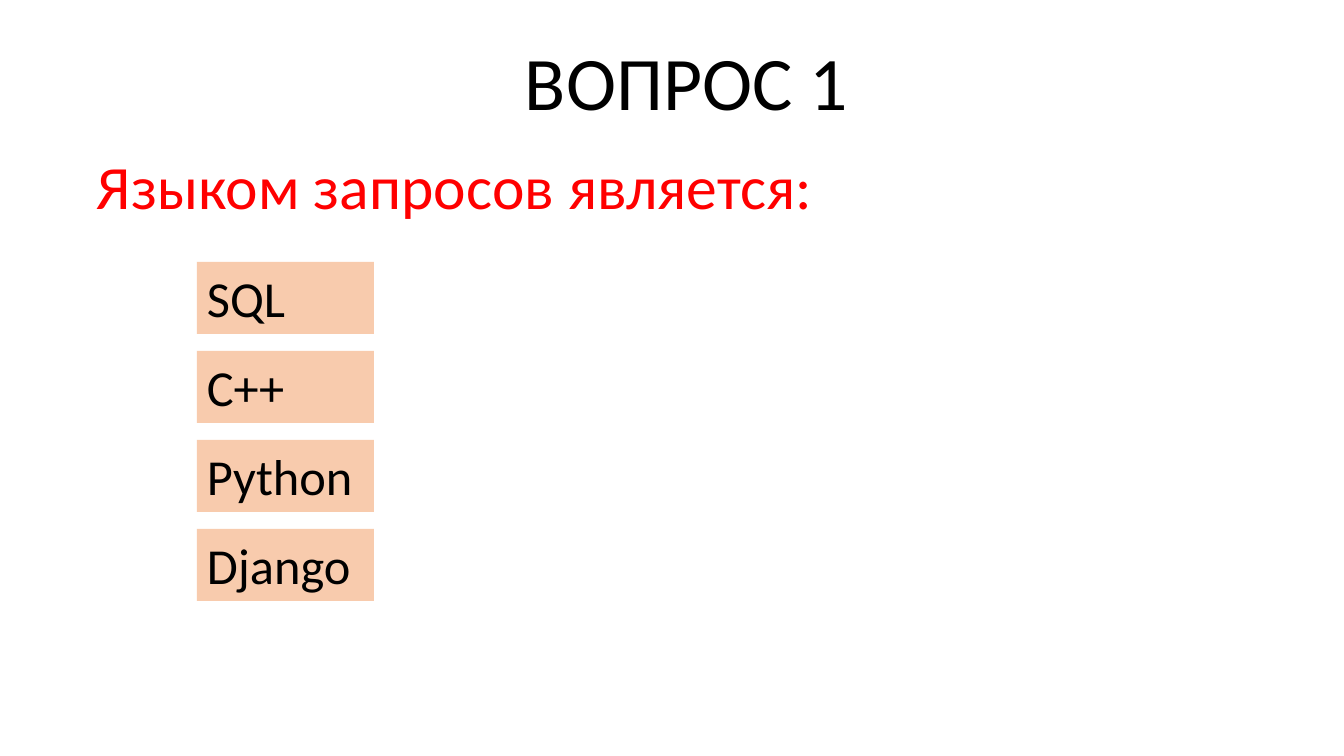
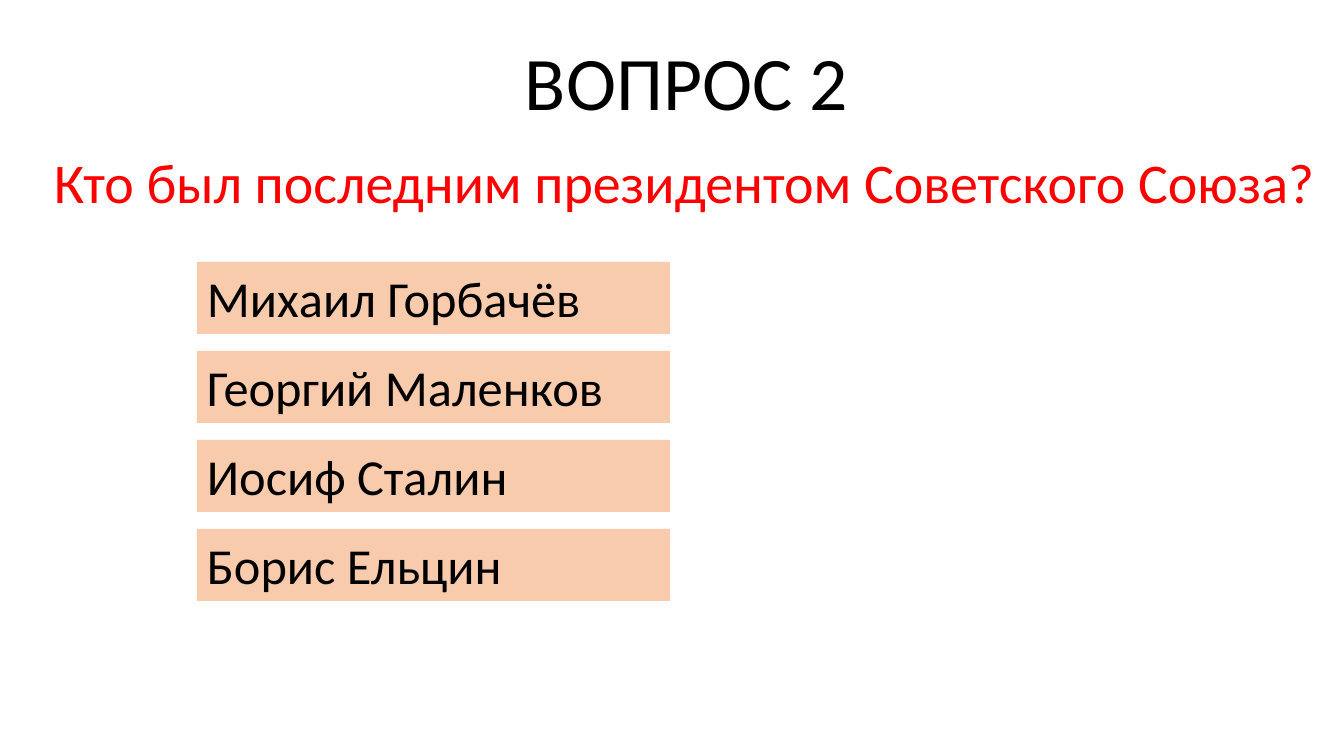
import pptx
import pptx.dml.color
import pptx.enum.shapes
import pptx.enum.text
import pptx.util

EMU_PER_PIXEL = 914400 / 100.8
FONT = "Calibri"
BLACK, RED, PEACH = "000000", "FF0000", "F8CBAD"
TITLE_BOX = (513, 25, 347, 107)
ANSWER_LEFT, ANSWER_TOP = 197, 262
ANSWER_HEIGHT, ANSWER_STEP = 72, 89
ALIGN = pptx.enum.text.PP_ALIGN
ANCHOR = pptx.enum.text.MSO_ANCHOR

QUESTIONS = [
    {
        "title": "ВОПРОС 1",
        "question": "Языком запросов является:",
        "question_box": (87, 143, 740, 85),
        "question_size": 44,
        "answers": ["SQL", "C++", "Python", "Django"],
        "answer_width": 177,
    },
    {
        "title": "ВОПРОС 2",
        "question": "Кто был последним президентом Советского Союза?",
        "question_box": (44, 143, 1300, 78),
        "question_size": 40,
        "answers": ["Михаил Горбачёв", "Георгий Маленков",
                    "Иосиф Сталин", "Борис Ельцин"],
        "answer_width": 473,
    },
]


def px(length):
    """Turn pixels into EMU."""
    return pptx.util.Emu(round(length * EMU_PER_PIXEL))


def color(value):
    """Turn a hex string into a colour."""
    return pptx.dml.color.RGBColor.from_string(value)


def write(shape, text, size, ink, align=ALIGN.LEFT, anchor=ANCHOR.TOP):
    """Fill a shape with one formatted paragraph and return the paragraph."""
    frame = shape.text_frame
    frame.word_wrap = True
    frame.auto_size = pptx.enum.text.MSO_AUTO_SIZE.NONE
    frame.vertical_anchor = anchor
    para = frame.paragraphs[0]
    para.text = text
    para.alignment = align
    para.font.name = FONT
    para.font.size = pptx.util.Pt(size)
    para.font.color.rgb = color(ink)
    return para


def place_title(page, text, box):
    """Move and format the title placeholder."""
    title = page.shapes.title
    title.left, title.top, title.width, title.height = map(px, box)
    para = write(title, text, 54, BLACK, ALIGN.CENTER, ANCHOR.BOTTOM)
    para.line_spacing = 0.9


def add_question(page, text, size, box):
    """Add the red question line."""
    write(page.shapes.add_textbox(*map(px, box)), text, size, RED)


def add_answers(page, answers, left, top, width):
    """Stack the answer bars at equal steps."""
    for row, answer in enumerate(answers):
        box = (left, top + row * ANSWER_STEP, width, ANSWER_HEIGHT)
        bar = page.shapes.add_shape(
            pptx.enum.shapes.MSO_SHAPE.RECTANGLE, *map(px, box))
        bar.shadow.inherit = False
        bar.fill.solid()
        bar.fill.fore_color.rgb = color(PEACH)
        bar.line.fill.background()
        write(bar, answer, 36, BLACK)


def add_quiz_page(deck, quiz):
    """Build one slide with a title, a question and its answers."""
    page = deck.slides.add_slide(deck.slide_layouts.get_by_name("Title Only"))
    place_title(page, quiz["title"], TITLE_BOX)
    add_question(page, quiz["question"], quiz["question_size"],
                 quiz["question_box"])
    add_answers(page, quiz["answers"], ANSWER_LEFT, ANSWER_TOP,
                quiz["answer_width"])


deck = pptx.Presentation()
deck.slide_width, deck.slide_height = px(1344), px(756)
for quiz in QUESTIONS:
    add_quiz_page(deck, quiz)
deck.save("out.pptx")
